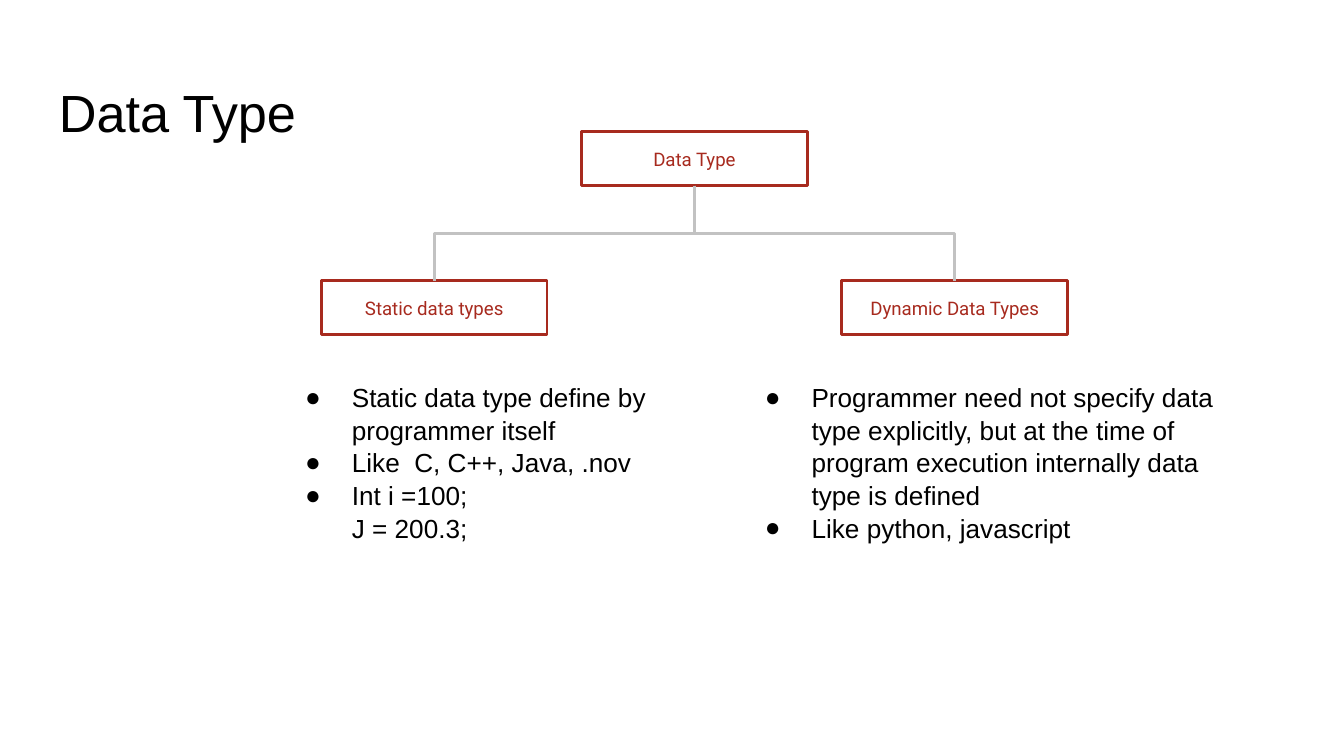
"""Build a slide with a small tree of data types and notes on each branch."""
from lxml.etree import SubElement as Sub
from pptx import Presentation
from pptx.dml.color import RGBColor as Rgb
from pptx.enum.shapes import MSO_CONNECTOR as Link, MSO_SHAPE as Shape
from pptx.enum.text import MSO_ANCHOR as Anchor, PP_ALIGN as Align
from pptx.oxml.ns import qn
from pptx.util import Pt

HUES = {"text": "000000", "node": "A72A1E", "link": "C2C2C2"}
PAD = 7.2


def style(frame, font, size, hue):
    frame.word_wrap = True
    frame.margin_left = frame.margin_right = Pt(PAD)
    frame.margin_top = frame.margin_bottom = Pt(PAD)
    for para in frame.paragraphs:
        for run in para.runs:
            run.font.name = font
            run.font.size = Pt(size)
            run.font.color.rgb = Rgb.from_string(HUES[hue])


deck = Presentation()
deck.slide_width, deck.slide_height = Pt(720), Pt(405)
slide = deck.slides.add_slide(deck.slide_layouts[6])
shapes = slide.shapes

title = shapes.add_textbox(Pt(24.5), Pt(36), Pt(671), Pt(45)).text_frame
title.text = "Data Type"
style(title, "Arial", 28, "text")

MID, STEP = 372, 139.4
WIDE, HIGH = 121, 28.8
ROOT, LEAF = 70.6, 150.5
nodes = []
for text, mid, top in [
    ("Data Type", MID, ROOT),
    ("Static data types", MID - STEP, LEAF),
    ("Dynamic Data Types", MID + STEP, LEAF),
]:
    node = shapes.add_shape(
        Shape.RECTANGLE, Pt(mid - WIDE / 2), Pt(top), Pt(WIDE), Pt(HIGH)
    )
    node.shadow.inherit = False
    node.fill.background()
    node.line.color.rgb = Rgb.from_string(HUES["node"])
    node.line.width = Pt(1.5)
    frame = node.text_frame
    frame.text = text
    frame.vertical_anchor = Anchor.MIDDLE
    frame.paragraphs[0].alignment = Align.CENTER
    style(frame, "Roboto", 10, "node")
    nodes.append(node)

drop = LEAF - ROOT - HIGH
for leaf, side, turn, flip in [(nodes[1], -1, 90, "0"), (nodes[2], 1, 270, "1")]:
    link = shapes.add_connector(Link.ELBOW, 0, 0, 0, 0)
    link.begin_connect(nodes[0], 2)
    link.end_connect(leaf, 0)
    link.left = Pt(MID + side * STEP / 2 - drop / 2)
    link.top = Pt(LEAF - drop / 2 - STEP / 2)
    link.width, link.height = Pt(drop), Pt(STEP)
    link.line.color.rgb = Rgb.from_string(HUES["link"])
    link.line.width = Pt(1.5)
    props = link._element.spPr
    props.xfrm.set("rot", str(turn * 60000))
    props.xfrm.set("flipH", flip)
    Sub(props, qn("a:effectLst"))

for left, wide, high, rows in [
    (145.4, 250.6, 136, [
        ("Static data type define by programmer itself", True),
        ("Like  C, C++, Java, .nov", True),
        ("Int i =100;", True),
        ("J = 200.3;", False),
    ]),
    (391.7, 283.7, 123, [
        ("Programmer need not specify data type explicitly, but at the time of "
         "program execution internally data type is defined", True),
        ("Like python, javascript", True),
    ]),
]:
    frame = shapes.add_textbox(Pt(left), Pt(196.6), Pt(wide), Pt(high)).text_frame
    frame.text = "\n".join(text for text, mark in rows)
    style(frame, "Arial", 14, "text")
    for para, (text, mark) in zip(frame.paragraphs, rows):
        para.line_spacing = 1.04
        props = para._p.get_or_add_pPr()
        props.set("marL", str(Pt(36)))
        props.set("indent", str(Pt(-25) if mark else 0))
        if mark:
            tint = Sub(props, qn("a:buClr"))
            Sub(tint, qn("a:srgbClr"), val=HUES["text"])
            Sub(props, qn("a:buFont"), typeface="Arial")
            Sub(props, qn("a:buChar"), char="●")

deck.save("out.pptx")
